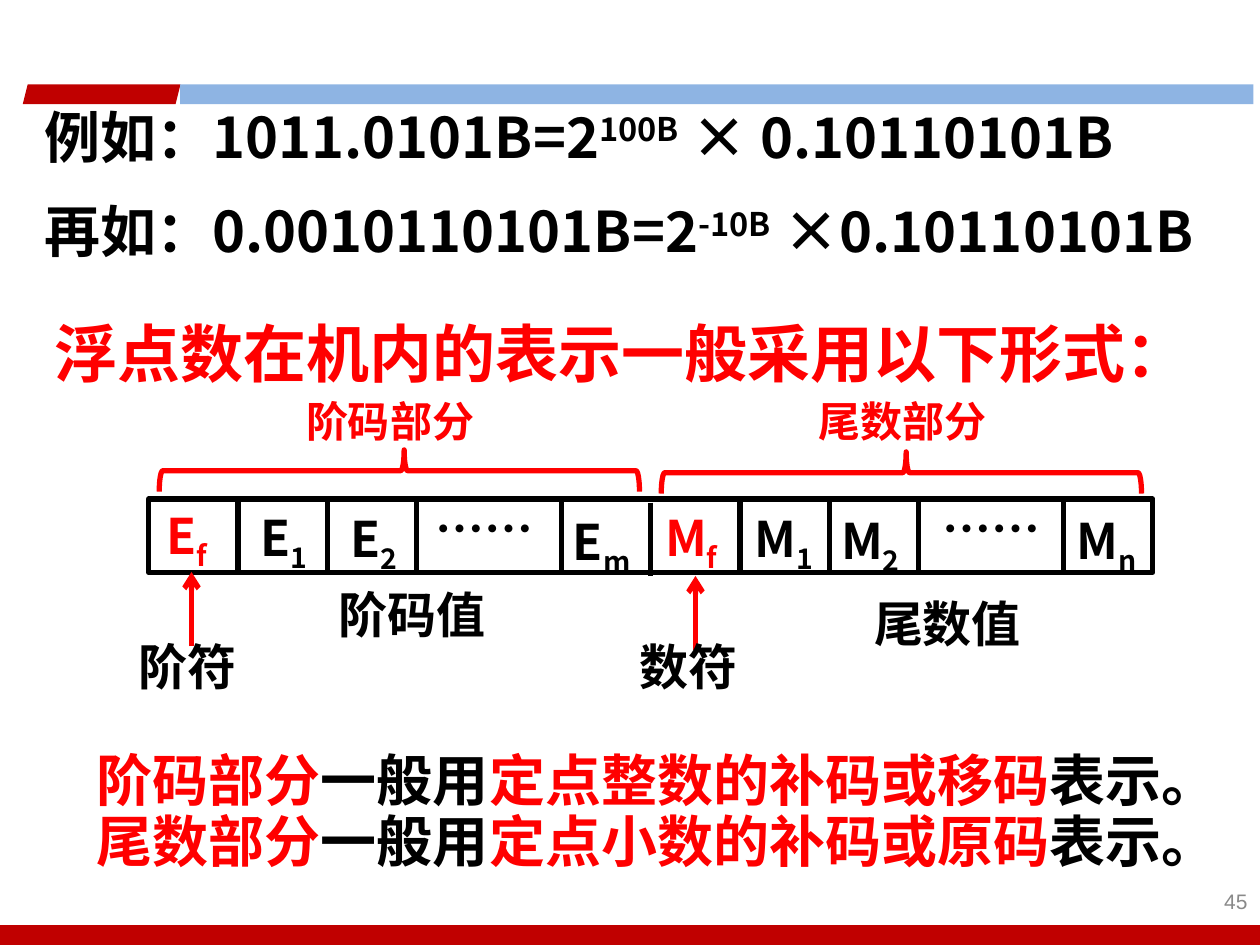
import itertools

import pptx
import pptx.dml.color
import pptx.enum.shapes
import pptx.enum.text
import pptx.oxml.ns
import pptx.util
from lxml import etree
from pptx.util import Cm

COLORS = {
    "black": "000000",
    "white": "FFFFFF",
    "red": "FF0000",
    "crimson": "C00000",
    "blue": "8EB4E3",
    "gray": "898989",
}
CJK_FONT = "Noto Sans CJK SC"
SHAPES = pptx.enum.shapes.MSO_SHAPE
SUPERSCRIPT, SUBSCRIPT = 30000, -25000

# Register strip: both halves share one pattern of cell widths
STRIP_LEFT, STRIP_TOP, STRIP_HEIGHT = 3.0, 10.06, 1.48
CELL_WIDTHS = [1.8, 1.8, 1.8, 2.92, 1.8]
HALF_WIDTH = sum(CELL_WIDTHS)


def rgb(name):
    return pptx.dml.color.RGBColor.from_string(COLORS[name])


def child(parent, tag, **attributes):
    return etree.SubElement(parent, pptx.oxml.ns.qn(tag), **attributes)


def add_block(slide, kind, left, top, width, height, color):
    shape = slide.shapes.add_shape(kind, Cm(left), Cm(top), Cm(width), Cm(height))
    shape.shadow.inherit = False
    shape.fill.solid()
    shape.fill.fore_color.rgb = rgb(color)
    shape.line.fill.background()
    return shape


def add_outline(slide, kind, left, top, width, height, color):
    shape = add_block(slide, kind, left, top, width, height, color)
    shape.fill.background()
    shape.line.color.rgb = rgb(color)
    shape.line.width = pptx.util.Pt(3)
    return shape


def add_line(slide, x, start, end, color, arrow=False):
    """Draw a vertical line, with an arrowhead at its end if asked."""
    line = slide.shapes.add_connector(
        pptx.enum.shapes.MSO_CONNECTOR.STRAIGHT, Cm(x), Cm(start), Cm(x), Cm(end))
    line.line.color.rgb = rgb(color)
    line.line.width = pptx.util.Pt(3)
    if arrow:
        child(line.line._get_or_add_ln(), "a:tailEnd", type="arrow")
    child(line._element.spPr, "a:effectLst")


def add_brace(slide, center, top, width, height):
    """Draw a brace pointing up: a left brace turned by a quarter."""
    brace = add_outline(slide, SHAPES.LEFT_BRACE, center - height / 2,
                        top + height / 2 - width / 2, height, width, "red")
    brace.rotation = 90
    brace.adjustments[1] = 0.49


def add_text(slide, left, top, width, height, lines, size=28, color="black",
             spacing=None, font=CJK_FONT, bold=True, align=None):
    """Write lines made of (text, baseline, colour) runs; a None colour is the line's."""
    box = slide.shapes.add_textbox(Cm(left), Cm(top), Cm(width), Cm(height))
    frame = box.text_frame
    frame.word_wrap = True
    for index, runs in enumerate(lines):
        paragraph = frame.paragraphs[0] if index == 0 else frame.add_paragraph()
        paragraph.alignment = align
        paragraph.line_spacing = spacing
        paragraph.font.size = pptx.util.Pt(size)
        paragraph.font.bold = bold
        paragraph.font.color.rgb = rgb(color)
        paragraph.font.name = font
        child(paragraph.font._element, "a:ea", typeface=font)
        for text, baseline, run_color in runs:
            run = paragraph.add_run()
            run.text = text
            if baseline:
                run.font._element.set("baseline", str(baseline))
            if run_color:
                run.font.color.rgb = rgb(run_color)
    return box


def plain(text):
    return [[(text, 0, None)]]


def add_frame(slide):
    add_block(slide, SHAPES.RECTANGLE, 0, 18.65, 25.4, 0.4, "crimson")
    tab = add_block(slide, SHAPES.PARALLELOGRAM, 0.46, 1.7, 3.18, 0.4, "crimson")
    tab.adjustments[0] = 0.25
    add_block(slide, SHAPES.RECTANGLE, 3.63, 1.7, 21.64, 0.4, "blue")
    number = add_text(slide, 24, 17.65, 1.4, 1.02, plain("45"), size=12, color="gray",
                      font="Arial", bold=False, align=pptx.enum.text.PP_ALIGN.RIGHT)
    number.text_frame.vertical_anchor = pptx.enum.text.MSO_ANCHOR.MIDDLE


def add_examples(slide):
    for top, start, exponent, end in [
        (2.1, "例如：1011.0101B=2", "100B", " × 0.10110101B"),
        (4.0, "再如：0.0010110101B=2", "-10B", " ×0.10110101B"),
    ]:
        runs = [(start, 0, None), (exponent, SUPERSCRIPT, None), (end, 0, None)]
        add_text(slide, 0.64, top, 24.97, 1.47, [runs], size=32, spacing=0.9)
    add_text(slide, 0.84, 6.22, 24.97, 1.78, plain("浮点数在机内的表示一般采用以下形式："),
             size=36, color="red")


def add_conclusion(slide):
    lines = [
        [(part, 0, "red"), ("一般用", 0, None), (code, 0, "red"), ("表示。", 0, None)]
        for part, code in [("阶码部分", "定点整数的补码或移码"),
                           ("尾数部分", "定点小数的补码或原码")]
    ]
    box = add_text(slide, 1.7, 15.06, 23.93, 2.69, lines, size=32, spacing=0.9)
    box.fill.solid()
    box.fill.fore_color.rgb = rgb("white")


def add_strip(slide):
    add_outline(slide, SHAPES.RECTANGLE, STRIP_LEFT, STRIP_TOP,
                2 * HALF_WIDTH, STRIP_HEIGHT, "black")
    # Dividers inside each half, then the one between the halves
    for half, top in enumerate([10.03, 10.07]):
        for offset in itertools.accumulate(CELL_WIDTHS[:-1]):
            x = STRIP_LEFT + half * HALF_WIDTH + offset
            add_line(slide, x, top, top + STRIP_HEIGHT, "black")
    middle = STRIP_LEFT + HALF_WIDTH
    add_line(slide, middle, 10.13, 10.13 + STRIP_HEIGHT, "black")

    # Cell contents
    for letter, index, left, top, width, color in [
        ("E", "f", 3.1, 10.06, 1.8, "red"),
        ("E", "1", 5.0, 10.11, 1.8, "black"),
        ("E", "2", 6.81, 10.13, 1.8, "black"),
        ("E", "m", 11.3, 10.19, 2.03, "black"),
        ("M", "f", 13.16, 10.11, 2.03, "red"),
        ("M", "1", 14.96, 10.13, 2.03, "black"),
        ("M", "2", 16.71, 10.16, 2.03, "black"),
        ("M", "n", 21.46, 10.16, 2.03, "black"),
    ]:
        runs = [(letter, 0, None), (index, SUBSCRIPT, None)]
        add_text(slide, left, top, width, 1.6, [runs], color=color)
    for left in (8.53, 18.75):
        add_text(slide, left, 9.93, 3.15, 1.45, plain("……"))


def add_annotations(slide):
    # Braces and part names above the strip
    for center, top, name, left in [(8.05, 9.07, "阶码部分", 5.92),
                                    (18.17, 9.11, "尾数部分", 16.26)]:
        add_brace(slide, center, top, 9.68, 0.84)
        add_text(slide, left, 7.85, 4.5, 1.27, plain(name), size=24, color="red")
    # Value names and sign pointers below the strip
    for left, top, name in [(6.58, 11.66, "阶码值"), (17.37, 11.84, "尾数值")]:
        add_text(slide, left, top, 3.84, 1.45, plain(name))
    for x, tip, name, left in [(3.86, 11.53, "阶符", 2.54), (14.02, 11.61, "数符", 12.65)]:
        add_line(slide, x, tip + 1.5, tip, "red", arrow=True)
        add_text(slide, left, 12.7, 3.15, 1.45, plain(name))


def main():
    presentation = pptx.Presentation()
    presentation.slide_width, presentation.slide_height = Cm(25.4), Cm(19.05)
    slide = presentation.slides.add_slide(presentation.slide_layouts[6])
    add_frame(slide)
    add_examples(slide)
    add_conclusion(slide)
    add_strip(slide)
    add_annotations(slide)
    presentation.save("out.pptx")


if __name__ == "__main__":
    main()
